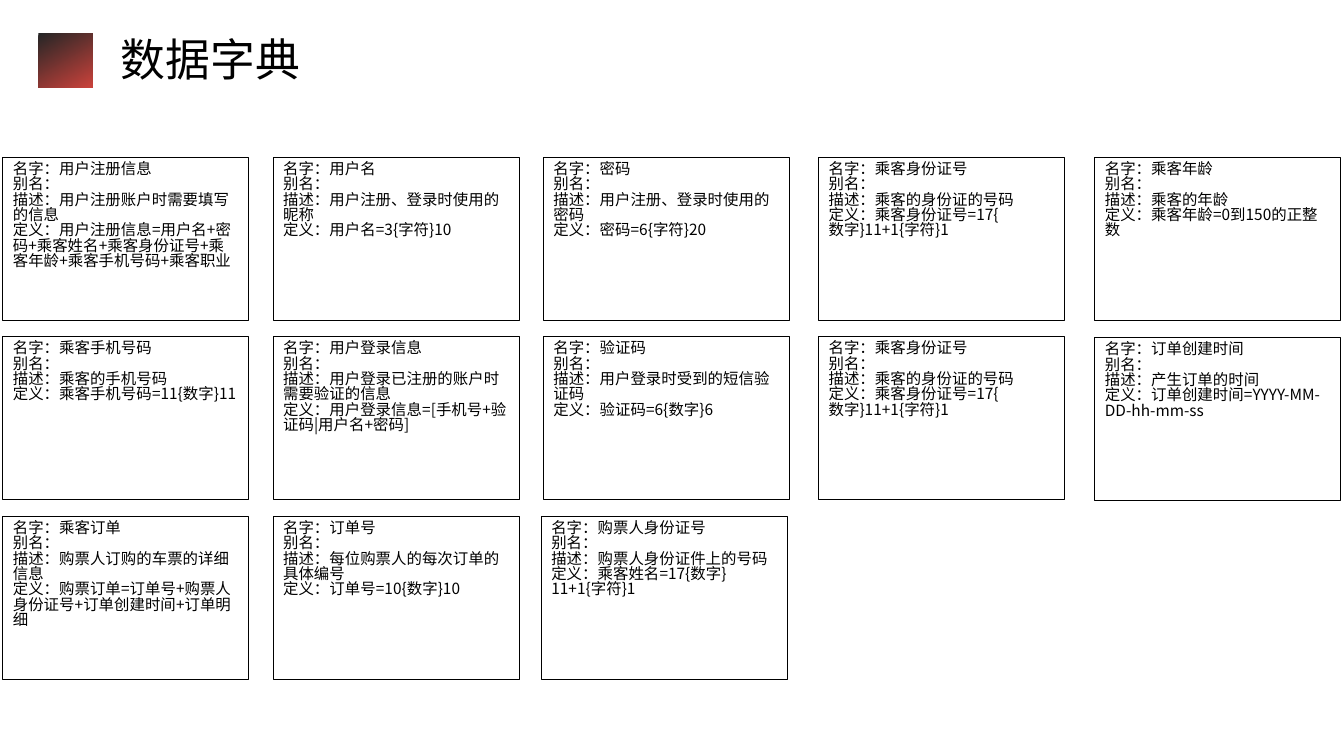
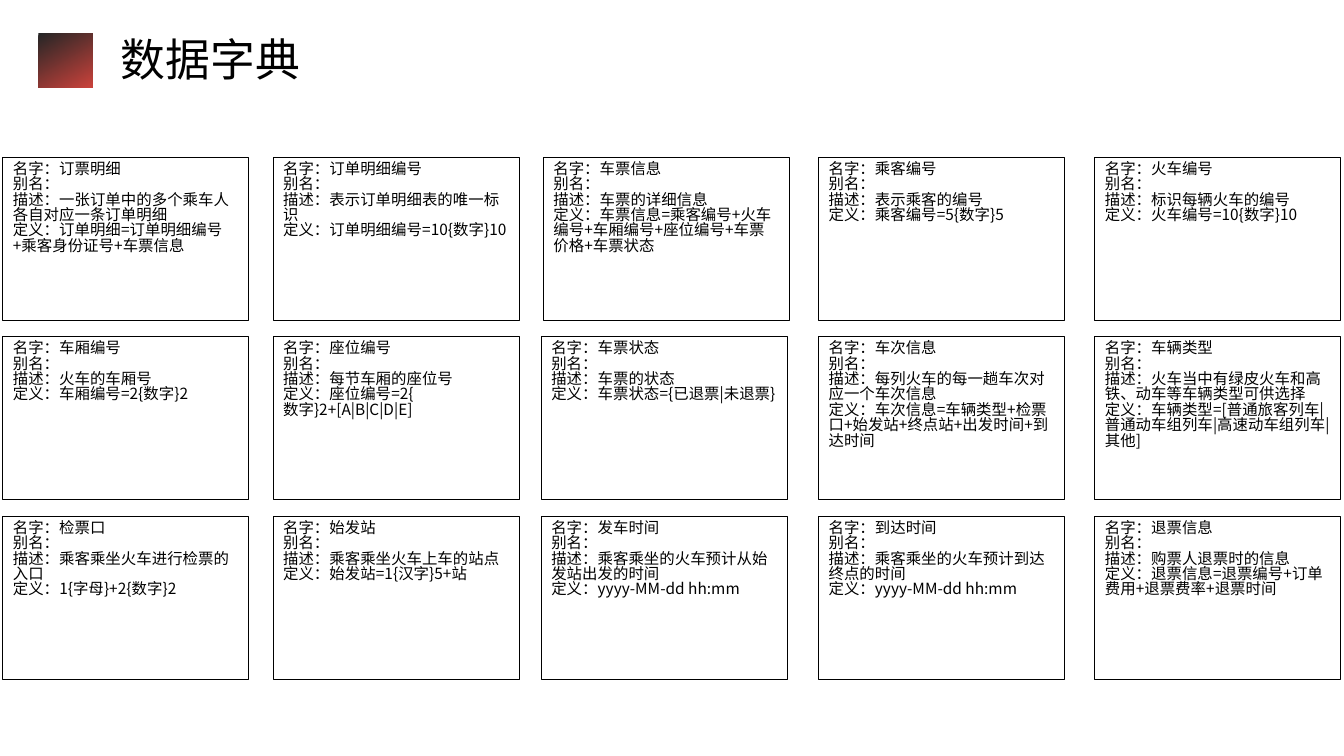
from dataclasses import dataclass

from lxml.etree import SubElement
from pptx import Presentation
from pptx.dml.color import RGBColor as RGB
from pptx.enum.shapes import MSO_SHAPE as SHAPE
from pptx.enum.text import MSO_ANCHOR as ANCHOR, PP_ALIGN as ALIGN
from pptx.oxml.ns import qn
from pptx.util import Inches, Pt


@dataclass(frozen=True)
class Theme:
    font: str = "Noto Sans CJK SC"
    ink: RGB = RGB(0x00, 0x00, 0x00)
    paper: RGB = RGB(0xFF, 0xFF, 0xFF)
    dark: RGB = RGB(0x26, 0x26, 0x26)
    red: RGB = RGB(0xC9, 0x42, 0x3B)
    title_size: int = 32
    title_spacing: float = 0.9
    body_size: int = 11
    body_spacing: float = 0.83
    border: float = 0.75


THEME = Theme()
TITLE = "数据字典"
LABELS = ("名字", "别名", "描述", "定义")
PASSENGER_ID = ("乘客身份证号", "乘客的身份证的号码", "乘客身份证号=17{\n数字}11+1{字符}1")

USER_AND_ORDER = [
    [
        ("用户注册信息", "用户注册账户时需要填写的信息",
         "用户注册信息=用户名+密码+乘客姓名+乘客身份证号+乘客年龄+乘客手机号码+乘客职业"),
        ("用户名", "用户注册、登录时使用的昵称", "用户名=3{字符}10"),
        ("密码", "用户注册、登录时使用的密码", "密码=6{字符}20"),
        PASSENGER_ID,
        ("乘客年龄", "乘客的年龄", "乘客年龄=0到150的正整数"),
    ],
    [
        ("乘客手机号码", "乘客的手机号码", "乘客手机号码=11{数字}11"),
        ("用户登录信息", "用户登录已注册的账户时需要验证的信息",
         "用户登录信息=[手机号+验证码|用户名+密码]"),
        ("验证码", "用户登录时受到的短信验证码", "验证码=6{数字}6"),
        PASSENGER_ID,
        ("订单创建时间", "产生订单的时间", "订单创建时间=YYYY-MM-DD-hh-mm-ss"),
    ],
    [
        ("乘客订单", "购票人订购的车票的详细信息",
         "购票订单=订单号+购票人身份证号+订单创建时间+订单明细"),
        ("订单号", "每位购票人的每次订单的具体编号", "订单号=10{数字}10"),
        ("购票人身份证号", "购票人身份证件上的号码", "乘客姓名=17{数字}11+1{字符}1"),
    ],
]

TICKET_AND_TRAIN = [
    [
        ("订票明细", "一张订单中的多个乘车人各自对应一条订单明细",
         "订单明细=订单明细编号+乘客身份证号+车票信息"),
        ("订单明细编号", "表示订单明细表的唯一标识", "订单明细编号=10{数字}10"),
        ("车票信息", "车票的详细信息",
         "车票信息=乘客编号+火车编号+车厢编号+座位编号+车票价格+车票状态"),
        ("乘客编号", "表示乘客的编号", "乘客编号=5{数字}5"),
        ("火车编号", "标识每辆火车的编号", "火车编号=10{数字}10"),
    ],
    [
        ("车厢编号", "火车的车厢号", "车厢编号=2{数字}2"),
        ("座位编号", "每节车厢的座位号", "座位编号=2{\n数字}2+[A|B|C|D|E]"),
        ("车票状态", "车票的状态", "车票状态={已退票|未退票}"),
        ("车次信息", "每列火车的每一趟车次对应一个车次信息",
         "车次信息=车辆类型+检票口+始发站+终点站+出发时间+到达时间"),
        ("车辆类型", "火车当中有绿皮火车和高铁、动车等车辆类型可供选择",
         "车辆类型=[普通旅客列车|普通动车组列车|高速动车组列车|其他]"),
    ],
    [
        ("检票口", "乘客乘坐火车进行检票的入口", "1{字母}+2{数字}2"),
        ("始发站", "乘客乘坐火车上车的站点", "始发站=1{汉字}5+站"),
        ("发车时间", "乘客乘坐的火车预计从始发站出发的时间", "yyyy-MM-dd hh:mm"),
        ("到达时间", "乘客乘坐的火车预计到达终点的时间", "yyyy-MM-dd hh:mm"),
        ("退票信息", "购票人退票时的信息", "退票信息=退票编号+订单费用+退票费率+退票时间"),
    ],
]

SLIDES = [
    (USER_AND_ORDER, {(1, 4): (0, 0.01), (2, 2): (-0.02, 0)}),
    (TICKET_AND_TRAIN, {(1, 2): (-0.02, 0), (2, 2): (-0.02, 0)}),
]

COLUMN_LEFTS = (0.03, 2.71, 5.39, 8.12, 10.86)
FIRST_TOP, ROW_STEP = 1.56, 1.78
CARD_W, CARD_H = 2.44, 1.62


def write(tf, lines, size, spacing):
    tf.word_wrap = True
    tf.vertical_anchor = ANCHOR.TOP
    for i, line in enumerate(lines):
        p = tf.add_paragraph() if i else tf.paragraphs[0]
        p.text = line
        p.alignment = ALIGN.LEFT
        p.line_spacing = spacing
        p.font.size = Pt(size)
        p.font.color.rgb = THEME.ink
        p.font.name = THEME.font
        props = p._p.pPr.find(qn("a:defRPr"))
        SubElement(props, qn("a:ea")).set("typeface", THEME.font)


def add_header(s):
    header = s.shapes.add_group_shape().shapes
    icon = header.add_shape(SHAPE.RECTANGLE, Inches(0.38), Inches(0.33), Inches(0.54), Inches(0.54))
    icon.shadow.inherit = False
    icon.line.fill.background()
    icon.fill.gradient()
    icon.fill.gradient_angle = 300
    stops = ((0.01, THEME.dark), (0.99, THEME.red))
    for stop, (position, color) in zip(icon.fill.gradient_stops, stops):
        stop.position = position
        stop.color.rgb = color
    title = header.add_textbox(Inches(1.1), Inches(0.33), Inches(6.14), Inches(0.64))
    write(title.text_frame, [TITLE], THEME.title_size, THEME.title_spacing)


def add_card(s, left, top, entry):
    name, description, definition = entry
    sp = s.shapes.add_shape(SHAPE.RECTANGLE, Inches(left), Inches(top), Inches(CARD_W), Inches(CARD_H))
    sp.shadow.inherit = False
    sp.fill.solid()
    sp.fill.fore_color.rgb = THEME.paper
    sp.line.color.rgb = THEME.ink
    sp.line.width = Pt(THEME.border)
    values = (name, "", description, definition)
    text = "\n".join(f"{label}：{value}" for label, value in zip(LABELS, values))
    write(sp.text_frame, text.split("\n"), THEME.body_size, THEME.body_spacing)


def main():
    prs = Presentation()
    prs.slide_width, prs.slide_height = Inches(13.33), Inches(7.5)
    for rows, nudges in SLIDES:
        s = prs.slides.add_slide(prs.slide_layouts[6])
        add_header(s)
        for row, entries in enumerate(rows):
            for col, entry in enumerate(entries):
                dx, dy = nudges.get((row, col), (0, 0))
                add_card(s, COLUMN_LEFTS[col] + dx, FIRST_TOP + row * ROW_STEP + dy, entry)
    prs.save("out.pptx")


if __name__ == "__main__":
    main()
